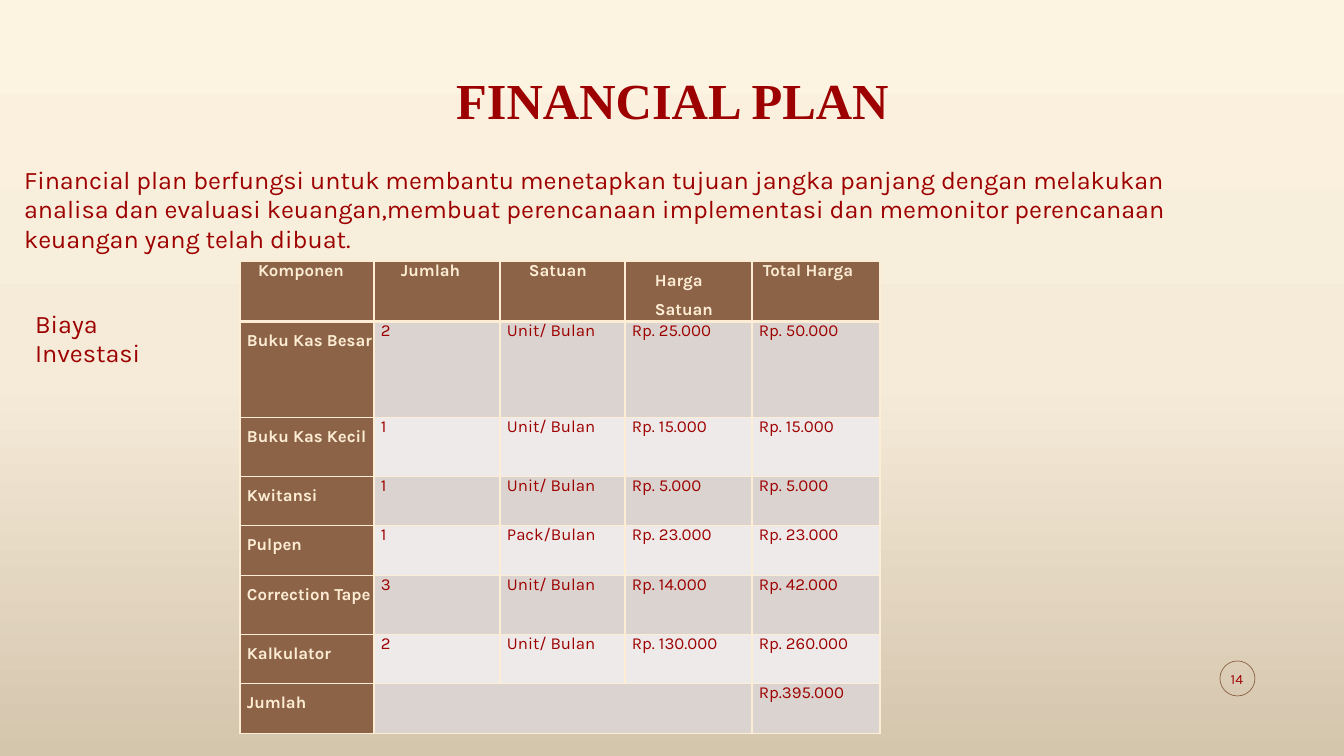
from copy import deepcopy
from lxml import etree
from pptx import Presentation, util as u
from pptx.dml.color import RGBColor
from pptx.enum import shapes, text
from pptx.oxml.ns import qn

TITLE = "FINANCIAL PLAN"
INTRO = ("Financial plan berfungsi untuk membantu menetapkan tujuan jangka panjang "
         "dengan melakukan analisa dan evaluasi keuangan,membuat perencanaan "
         "implementasi dan memonitor perencanaan keuangan yang telah dibuat.")
LABEL = "Biaya Investasi"
PAGE = "14"
COSTS = [
    ["Komponen", "Jumlah", "Satuan", "Harga Satuan", "Total Harga"],
    ["Buku Kas Besar", "2", "Unit/ Bulan", "Rp. 25.000", "Rp. 50.000"],
    ["Buku Kas Kecil", "1", "Unit/ Bulan", "Rp. 15.000", "Rp. 15.000"],
    ["Kwitansi", "1", "Unit/ Bulan", "Rp. 5.000", "Rp. 5.000"],
    ["Pulpen", "1", "Pack/Bulan", "Rp. 23.000", "Rp. 23.000"],
    ["Correction Tape", "3", "Unit/ Bulan", "Rp. 14.000", "Rp. 42.000"],
    ["Kalkulator", "2", "Unit/ Bulan", "Rp. 130.000", "Rp. 260.000"],
    ["Jumlah", "", "", "", "Rp.395.000"],
]
WIDTHS = [134, 126, 125, 127, 128]
HEIGHTS = [59, 96, 59, 49, 50, 59, 49, 50]
INDENTS = [18, 27, 29, 30, 11]
INDENT = 7
HEX = {"red": "9D0000", "brown": "8D6347", "cream": "FCEDD4",
       "dark": "DBD3CF", "light": "EEEAE9"}
GRADE = [(0, "FDF3E1"), (0.5, "F6EBD9"), (1, "D4C5AD")]
SANS, SERIF = "Karla", "Times New Roman"
PLAIN = "{2D5ABB26-0587-4C30-8999-92F81FD0307C}"


def px(n):
    return u.Emu(round(n * 914400 / 100.8))


def rgb(name):
    return RGBColor.from_string(HEX[name])


def write(frame, words, size, color="red", face=SANS, bold=False):
    frame.text = words
    par = frame.paragraphs[0]
    for run in par.runs:
        font = run.font
        font.size, font.name, font.bold = u.Pt(size), face, bold
        font.color.rgb = rgb(color)
    return par


def label(box, words, size, anchor, **look):
    frame = slide.shapes.add_textbox(*map(px, box)).text_frame
    frame.word_wrap = True
    frame.vertical_anchor = anchor
    par = write(frame, words, size, **look)
    par.alignment = text.PP_ALIGN.CENTER
    return par


def grid(left, top, widths, heights):
    frame = slide.shapes.add_table(len(heights), len(widths), px(left), px(top),
                                   px(sum(widths)), px(sum(heights)))
    table = frame.table
    table.first_row = table.horz_banding = False
    table._tbl.tblPr.find(qn("a:tableStyleId")).text = PLAIN
    for col, wide in zip(table.columns, widths):
        col.width = px(wide)
    for row, high in zip(table.rows, heights):
        row.height = px(high)
    return table


def edge(cell, row):
    props = cell._tc.get_or_add_tcPr()
    for i, side in enumerate("LRTB"):
        thick = (row, side) in ((0, "B"), (1, "T"))
        line = etree.Element(qn("a:ln" + side), w=str(u.Pt(3 if thick else 1)))
        fill = etree.SubElement(line, qn("a:solidFill"))
        etree.SubElement(fill, qn("a:srgbClr"), val=HEX["cream"])
        props.insert(i, line)


def fill_cell(cell, row, col, words):
    head = row == 0 or col == 0
    cell.margin_left = cell.margin_right = cell.margin_top = cell.margin_bottom = 0
    par = write(cell.text_frame, words, 12, "cream" if head else "red", bold=head)
    tall = col == 0 and row > 0 or (row, col) == (0, 3)
    par.line_spacing = 1.5 if tall else u.Pt(13.8)
    inset = INDENTS[col] if row == 0 else INDENT
    par._p.get_or_add_pPr().set("marL", str(px(inset)))
    cell.fill.solid()
    cell.fill.fore_color.rgb = rgb("brown" if head else "dark" if row % 2 else "light")
    edge(cell, row)


deck = Presentation()
deck.slide_width, deck.slide_height = px(1344), px(756)
slide = deck.slides.add_slide(deck.slide_layouts[6])

back = slide.background.fill
back.gradient()
back.gradient_angle = 270
stops = slide._element.find(".//" + qn("a:gsLst"))
stops.append(deepcopy(stops[0]))
for stop, (place, tone) in zip(back.gradient_stops, GRADE):
    stop.position = place
    stop.color.rgb = RGBColor.from_string(tone)

ring = slide.shapes.add_shape(shapes.MSO_SHAPE.OVAL, px(1220), px(661), px(35), px(35))
ring.shadow.inherit = False
ring.fill.background()
ring.line.color.rgb = rgb("brown")
ring.line.width = u.Pt(0.5)

name = label((93, 57, 1159, 78), TITLE, 36, text.MSO_ANCHOR.BOTTOM, face=SERIF, bold=True)
name.line_spacing = 0.9
label((1217, 659, 40, 40), PAGE, 10, text.MSO_ANCHOR.MIDDLE)

for left, top, wide, high, words in [(14, 161, 1204, 114, INTRO), (25, 305, 144, 71, LABEL)]:
    write(grid(left, top, [wide], [high]).cell(0, 0).text_frame, words, 18)

costs = grid(240, 261, WIDTHS, HEIGHTS)
for r, line in enumerate(COSTS):
    for c, words in enumerate(line):
        fill_cell(costs.cell(r, c), r, c, words)
last = len(COSTS) - 1
costs.cell(last, 1).merge(costs.cell(last, 3))

deck.save("out.pptx")
